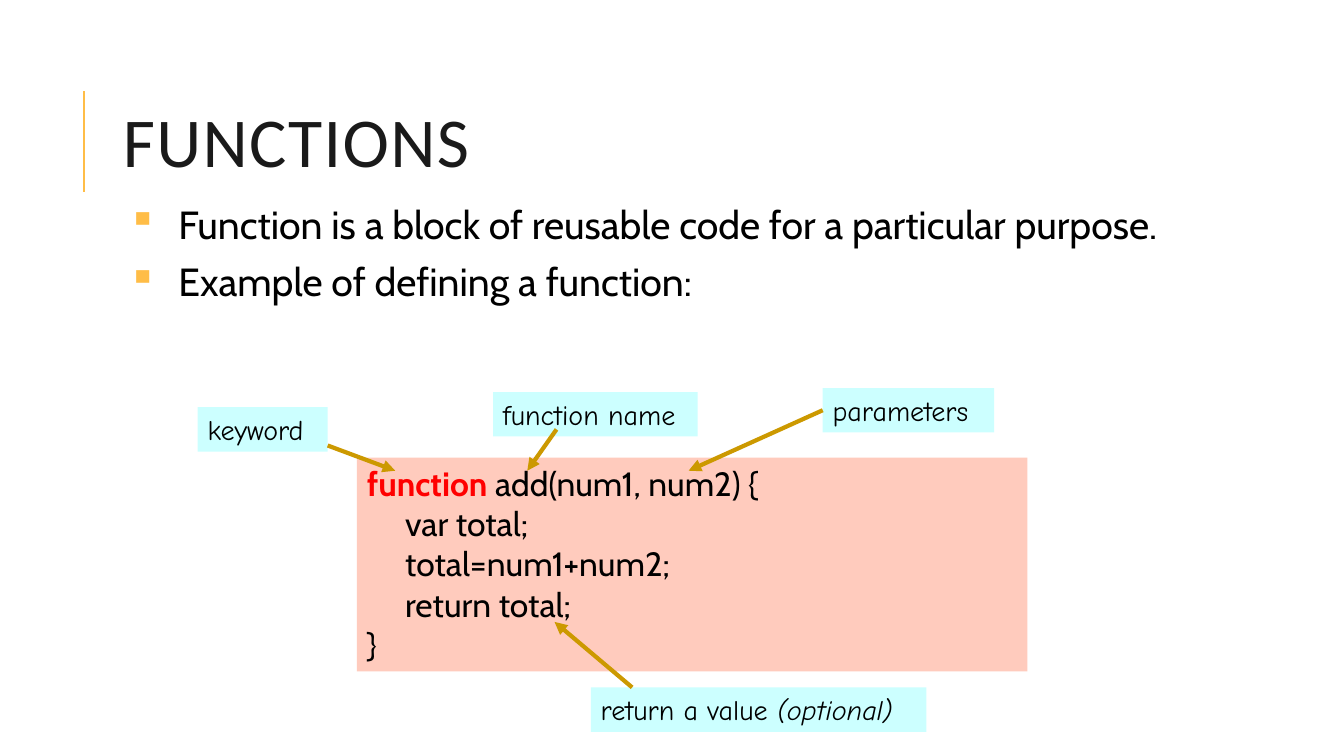
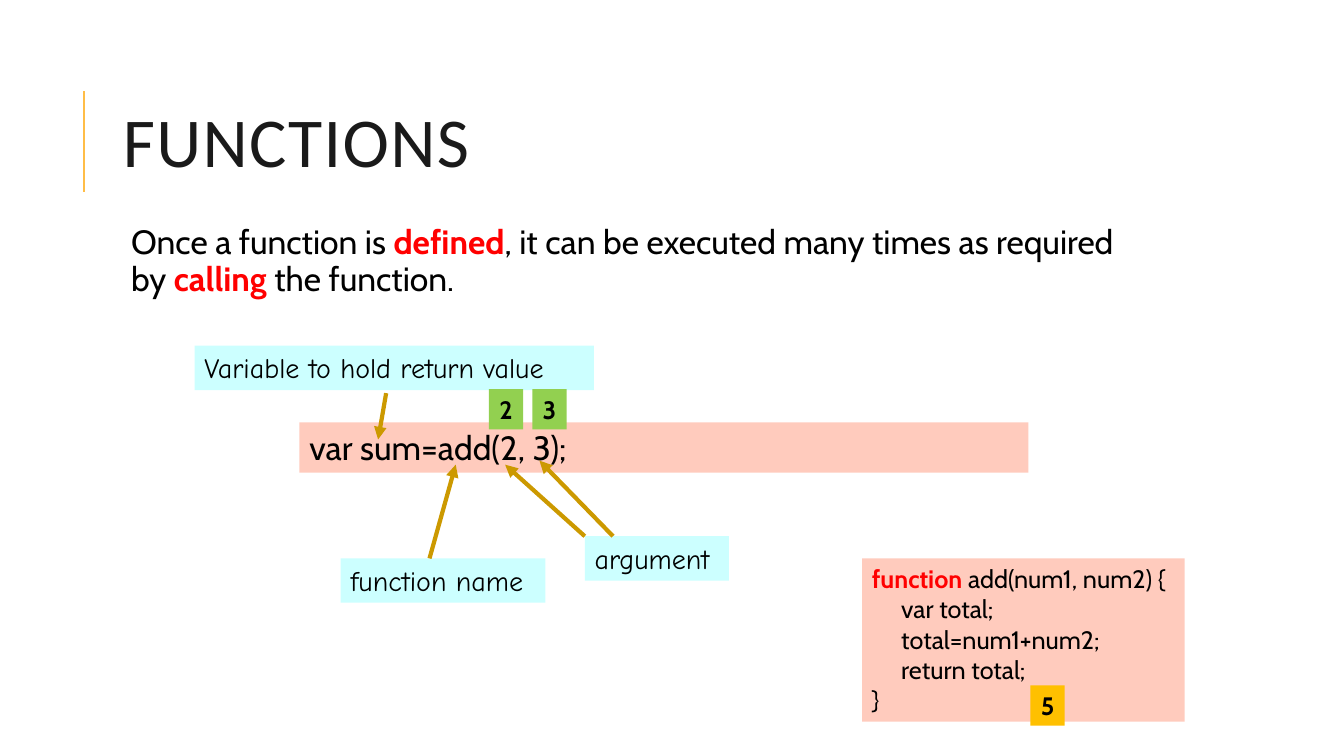
from dataclasses import dataclass
from typing import NamedTuple, Optional

from lxml.etree import SubElement
from pptx import Presentation
from pptx.dml.color import RGBColor
from pptx.enum.shapes import MSO_CONNECTOR as Link, MSO_SHAPE as Kind
from pptx.enum.text import MSO_ANCHOR as Anchor, PP_ALIGN as Align
from pptx.oxml.ns import qn
from pptx.util import Pt

SCALE = 9144  # EMU per px, 100 px to the inch

BLACK, INK, RED = "000000", "1A1A1A", "FF0000"
AMBER, OCHRE, GOLD = "FFBD47", "CC9900", "FFC000"
PEACH, AQUA, GREEN = "FFCBBD", "CCFFFF", "92D050"
HEAD, BODY, NOTE = "Calibri", "Cabin", "Comic Neue"
LEFT = 1  # connection site


class Box(NamedTuple):
    x: int
    y: int
    w: int
    h: int


class Run(NamedTuple):
    text: str
    color: str = BLACK
    bold: bool = False
    italic: bool = False


@dataclass(frozen=True)
class Style:
    font: str
    size: int
    align: Align = Align.LEFT
    spread: int = 0     # letter spacing, hundredths of a point
    leading: float = 1
    before: int = 0
    after: int = 0
    bullet: str = ""


@dataclass(frozen=True)
class Line:
    runs: tuple[Run, ...]
    indent: int = 0


@dataclass(frozen=True)
class Label:
    box: Box
    runs: tuple[Run, ...]


@dataclass(frozen=True)
class Arrow:
    x1: int
    y1: int
    x2: int
    y2: int
    label: Optional[int] = None  # index of the label whose left side it leaves


@dataclass(frozen=True)
class Tag:
    digit: str
    x: int
    y: int
    fill: str


TITLE = Style(HEAD, 50, spread=100, leading=0.8)
POINTS = Style(BODY, 28, leading=0.8, before=12, after=2, bullet="▪")
PROSE = Style(BODY, 24, leading=0.9, before=12, after=2)
CALLOUT = Style(NOTE, 20)
DIGIT = Style(BODY, 18, align=Align.CENTER)


def px(n: int) -> int:
    return n * SCALE


def rgb(code: str) -> RGBColor:
    return RGBColor.from_string(code)


def write(frame, lines: list[Line], style: Style) -> None:
    frame.word_wrap = True
    for i, line in enumerate(lines):
        para = frame.paragraphs[0] if i == 0 else frame.add_paragraph()
        para.alignment = style.align
        para.line_spacing = style.leading
        para.space_before, para.space_after = Pt(style.before), Pt(style.after)
        props = para._p.get_or_add_pPr()
        props.set("marL", str(px(line.indent)))
        if style.bullet:
            props.set("indent", str(-px(line.indent)))
            tint = SubElement(props, qn("a:buClr"))
            SubElement(tint, qn("a:srgbClr"), val=AMBER)
            SubElement(props, qn("a:buChar"), char=style.bullet)
        for part in line.runs:
            run = para.add_run()
            run.text = part.text
            font = run.font
            font.name, font.size = style.font, Pt(style.size)
            font.bold, font.italic = part.bold, part.italic
            font.color.rgb = rgb(part.color)
            if style.spread:
                run._r.get_or_add_rPr().set("spc", str(style.spread))


def panel(slide, box: Box, fill: str, lines: list[Line], style: Style):
    """Draw a filled rectangle with text from its top edge."""
    shape = slide.shapes.add_shape(Kind.RECTANGLE, *map(px, box))
    shape.shadow.inherit = False
    shape.fill.solid()
    shape.fill.fore_color.rgb = rgb(fill)
    shape.line.fill.background()
    shape.text_frame.vertical_anchor = Anchor.TOP
    write(shape.text_frame, lines, style)
    return shape


def text(slide, box: Box, lines: list[Line], style: Style, inset: int = 5):
    frame = slide.shapes.add_textbox(*map(px, box)).text_frame
    frame.margin_left = frame.margin_right = px(inset)
    write(frame, lines, style)
    return frame


def stroke(slide, ends: tuple[int, ...], color: str, width: float):
    link = slide.shapes.add_connector(Link.STRAIGHT, *map(px, ends))
    link.line.color.rgb = rgb(color)
    link.line.width = Pt(width)
    SubElement(link._element.spPr, qn("a:effectLst"))
    return link


def point(slide, arrow: Arrow, notes: list) -> None:
    ends = (arrow.x1, arrow.y1, arrow.x2, arrow.y2)
    link = stroke(slide, ends, OCHRE, 3)
    SubElement(link.line._get_or_add_ln(), qn("a:tailEnd"), type="triangle")
    if arrow.label is not None:
        link.begin_connect(notes[arrow.label], LEFT)


def annotate(slide, labels: list[Label], arrows: list[Arrow]) -> None:
    notes = [panel(slide, lab.box, AQUA, [Line(lab.runs)], CALLOUT)
             for lab in labels]
    for arrow in arrows:
        point(slide, arrow, notes)


def define(slide, box: Box, size: int) -> None:
    """Show the code that defines the function."""
    step = round(size * 1.6)
    inner = ("var total;", "total=num1+num2;", "return total;")
    lines = [Line((Run("function", RED, True), Run(" add(num1, num2) {"))),
             *(Line((Run(row),), step) for row in inner),
             Line((Run("}"),))]
    panel(slide, box, PEACH, lines, Style(BODY, size))


def stamp(slide, tag: Tag) -> None:
    """Draw a small square with a value in it."""
    shape = panel(slide, Box(tag.x, tag.y, 34, 40), tag.fill,
                  [Line((Run(tag.digit, bold=True),))], DIGIT)
    frame = shape.text_frame
    frame.margin_left = frame.margin_right = 0


def start(deck, title: str):
    slide = deck.slides.add_slide(deck.slide_layouts[6])
    stroke(slide, (83, 190, 83, 90), AMBER, 1.5)
    frame = text(slide, Box(112, 64, 1063, 164), [Line((Run(title, INK),))],
                 TITLE, inset=10)
    frame.vertical_anchor = Anchor.MIDDLE
    return slide


def defining(deck) -> None:
    slide = start(deck, "FUNCTIONS")
    points = ("Function is a block of reusable code for a particular purpose.",
              "Example of defining a function:")
    text(slide, Box(122, 203, 1072, 143),
         [Line((Run(row),), 50) for row in points], POINTS)
    define(slide, Box(354, 454, 665, 212), 24)
    annotate(slide, [
        Label(Box(489, 389, 203, 44), (Run("function name"),)),
        Label(Box(816, 385, 170, 44), (Run("parameters"),)),
        Label(Box(586, 682, 333, 44),
              (Run("return a value "), Run("(optional)", italic=True))),
        Label(Box(196, 404, 129, 44), (Run("keyword"),)),
    ], [
        Arrow(552, 426, 523, 467),
        Arrow(816, 407, 683, 467, label=1),
        Arrow(627, 682, 550, 617),
        Arrow(325, 442, 392, 467),
    ])


def calling(deck) -> None:
    slide = start(deck, "FUNCTIONS")
    prose = (Run("Once a function is "), Run("defined", RED, True),
             Run(", it can be executed many times as required by "),
             Run("calling", RED, True), Run(" the function."))
    text(slide, Box(115, 219, 1032, 476), [Line(prose, 10)], PROSE)
    panel(slide, Box(297, 419, 723, 50), PEACH,
          [Line((Run("var sum=add(2, 3);"),))], Style(BODY, 24))
    annotate(slide, [
        Label(Box(338, 554, 203, 44), (Run("function name"),)),
        Label(Box(580, 532, 143, 44), (Run("argument"),)),
        Label(Box(193, 343, 396, 44), (Run("Variable to hold return value"),)),
    ], [
        Arrow(426, 554, 452, 461),
        Arrow(580, 532, 501, 461),
        Arrow(383, 390, 375, 436),
        Arrow(608, 532, 535, 457),
    ])
    define(slide, Box(855, 554, 320, 162), 18)
    for tag in (Tag("2", 485, 386, GREEN), Tag("3", 528, 386, GREEN),
                Tag("5", 1022, 680, GOLD)):
        stamp(slide, tag)


def main() -> None:
    deck = Presentation()
    deck.slide_width, deck.slide_height = px(1333), px(750)
    defining(deck)
    calling(deck)
    deck.save("out.pptx")


if __name__ == "__main__":
    main()
